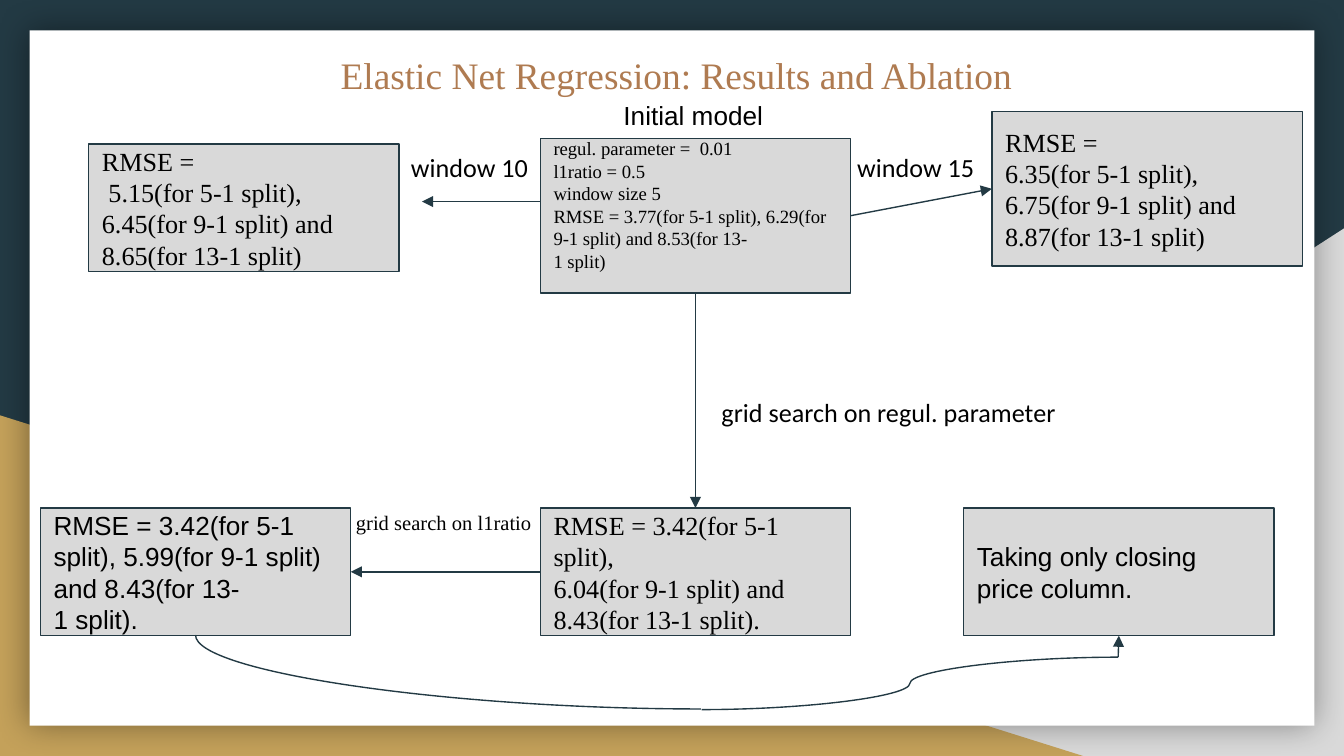
from dataclasses import dataclass

from lxml.etree import SubElement
from pptx import Presentation
from pptx.dml.color import RGBColor as Rgb
from pptx.enum.shapes import MSO_CONNECTOR as Link, MSO_SHAPE as Form
from pptx.enum.text import MSO_ANCHOR as Anchor, PP_ALIGN as Align
from pptx.oxml.ns import qn
from pptx.util import Emu, Inches, Pt

# The grid has square cells: 100 columns by 56.25 rows
COLS, ROWS = 100, 56.25
CELL = Inches(10) / COLS
TOP, LEFT, BOTTOM, RIGHT = range(4)
SERIF, SANS, LABEL = "Times New Roman", "Arial", "Calibri"


@dataclass(frozen=True)
class Theme:
    navy: str = "233A44"
    gold: str = "C4A15A"
    gray: str = "D9D9D9"
    white: str = "FFFFFF"
    black: str = "000000"
    brown: str = "AF7B51"
    title: int = 20
    body: int = 14
    note: int = 11
    small: int = 10
    line: float = 0.75


@dataclass(frozen=True)
class Area:
    col: float
    row: float
    wide: float
    high: float

    def place(self) -> tuple:
        return tuple(cells(n) for n in (self.col, self.row, self.wide, self.high))


@dataclass(frozen=True)
class Box:
    name: str
    col: float
    row: float
    high: float
    lines: tuple
    font: str = SERIF
    size: int = Theme.body
    foot: float = 1  # bottom inset


@dataclass(frozen=True)
class Note:
    text: str
    area: Area
    font: str = LABEL
    size: int = Theme.body
    color: str = Theme.black
    align: Align = Align.LEFT


WIDE = 23.1  # every box
LOW, SHORT, TALL = 37.8, 9.5, 11.5

BOXES = (
    Box("ten", 6.6, 10.7, SHORT,
        ("RMSE =", " 5.15(for 5-1 split),", "6.45(for 9-1 split) and 8.65(for 13-1 split)")),
    Box("fifteen", 73.8, 8.3, TALL,
        ("RMSE =", "6.35(for 5-1 split), 6.75(for 9-1 split) and 8.87(for 13-1 split)")),
    Box("ratio", 3, LOW, SHORT,
        ("RMSE = 3.42(for 5-1 split), 5.99(for 9-1 split) and 8.43(for 13-", "1 split)."), SANS),
    Box("regul", 40.2, LOW, SHORT,
        ("RMSE = 3.42(for 5-1 split),", "6.04(for 9-1 split) and 8.43(for 13-1 split).")),
    Box("close", 71.7, LOW, SHORT, ("Taking only closing price column.",), SANS),
    Box("first", 40.2, 10.3, TALL,
        ("regul. parameter =  0.01", "l1ratio = 0.5", "window size 5",
         "RMSE = 3.77(for 5-1 split), 6.29(for 9-1 split) and 8.53(for 13-", "1 split)"),
        size=Theme.small, foot=2.65),
)

NOTES = (
    Note("Elastic Net Regression: Results and Ablation", Area(9.3, 2.9, 82.1, 10.4),
         SERIF, Theme.title, Theme.brown, Align.CENTER),
    Note("Initial model", Area(45.4, 6.4, 17.8, 4.4), SANS),
    Note("window 10", Area(29.6, 10.3, 19.4, 4.4)),
    Note("window 15", Area(62.8, 10.3, 19.4, 4.4)),
    Note("grid search on regul. parameter", Area(52.7, 28.5, 47, 4.4)),
    Note("grid search on l1ratio", Area(25.5, 37, 52.4, 3.9), SERIF, Theme.note),
)


def cells(n: float) -> Emu:
    return Emu(round(n * CELL))


def paint(shapes, form: Form, area: Area, color: str):
    shape = shapes.add_shape(form, *area.place())
    shape.shadow.inherit = False
    shape.fill.solid()
    shape.fill.fore_color.rgb = Rgb.from_string(color)
    shape.line.fill.background()
    return shape


def glow(shape) -> None:
    """Give the card a soft, even shadow."""
    effects = shape._element.spPr.find(qn("a:effectLst"))
    soft = SubElement(effects, qn("a:outerShdw"), blurRad=str(Pt(18)), dist="0",
                      dir="0", algn="ctr", rotWithShape="0")
    tint = SubElement(soft, qn("a:srgbClr"), val=Theme.black)
    SubElement(tint, qn("a:alpha"), val="40000")


def write(shape, lines: tuple, font: str, size: int, color: str = Theme.black,
          align: Align = Align.LEFT, foot: float = 1) -> None:
    frame = shape.text_frame
    frame.word_wrap = True
    frame.margin_left = frame.margin_right = frame.margin_top = cells(1)
    frame.margin_bottom = cells(foot)
    for i, line in enumerate(lines):
        para = frame.paragraphs[0] if i == 0 else frame.add_paragraph()
        para.text = line
        para.alignment = align
        para.font.name = font
        para.font.size = Pt(size)
        para.font.color.rgb = Rgb.from_string(color)


def draw_box(shapes, box: Box):
    shape = paint(shapes, Form.RECTANGLE, Area(box.col, box.row, WIDE, box.high), Theme.gray)
    shape.line.color.rgb = Rgb.from_string(Theme.navy)
    shape.line.width = Pt(Theme.line)
    write(shape, box.lines, box.font, box.size, foot=box.foot)
    shape.text_frame.vertical_anchor = Anchor.MIDDLE
    return shape


def draw_note(shapes, note: Note) -> None:
    shape = shapes.add_textbox(*note.area.place())
    write(shape, (note.text,), note.font, note.size, note.color, note.align)


def draw_link(shapes, start: tuple, end: tuple, kind: Link = Link.STRAIGHT, head: bool = True):
    link = shapes.add_connector(kind, *(cells(n) for n in start + end))
    link.line.color.rgb = Rgb.from_string(Theme.navy)
    link.line.width = Pt(Theme.line)
    if head:
        SubElement(link.line._get_or_add_ln(), qn("a:tailEnd"), type="triangle")
    SubElement(link._element.spPr, qn("a:effectLst"))
    return link


def join(shapes, start, exit: int, end, entry: int) -> None:
    link = draw_link(shapes, (0, 0), (1, 1))
    link.begin_connect(start, exit)
    link.end_connect(end, entry)


def main() -> None:
    deck = Presentation()
    deck.slide_width, deck.slide_height = cells(COLS), cells(ROWS)
    slide = deck.slides.add_slide(deck.slide_layouts[6])
    shapes = slide.shapes

    # Backdrop and card
    slide.background.fill.solid()
    slide.background.fill.fore_color.rgb = Rgb.from_string(Theme.navy)
    slope = paint(shapes, Form.RIGHT_TRIANGLE, Area(39.2, 17, 60.8, 39.25), Theme.gray)
    slope._element.spPr.xfrm.set("flipH", "1")
    paint(shapes, Form.RIGHT_TRIANGLE, Area(0, 30.9, 80.6, 25.35), Theme.gold)
    glow(paint(shapes, Form.RECTANGLE, Area(2.2, 2.25, 95.6, 51.75), Theme.white))

    # Boxes and labels
    made = {box.name: draw_box(shapes, box) for box in BOXES}
    for note in NOTES:
        draw_note(shapes, note)

    # Straight arrows
    draw_link(shapes, (40.2, 15), (31.4, 15))
    join(shapes, made["first"], RIGHT, made["fifteen"], LEFT)
    join(shapes, made["first"], BOTTOM, made["regul"], TOP)
    join(shapes, made["regul"], LEFT, made["ratio"], RIGHT)

    # Curved path to the closing price box: a quarter bend, an S bend and a tip
    bend = draw_link(shapes, (36.1, 31.2), (30.6, 68.8), Link.CURVE, head=False)
    bend._element.spPr.xfrm.set("rot", str(270 * 60000))
    bend._element.spPr.find(qn("a:prstGeom")).set("prst", "curvedConnector2")
    draw_link(shapes, (52.2, 52.8), (83.2, 48.9), Link.CURVE, head=False)
    tip = draw_link(shapes, (83.2, 48.9), (83.25, 47.3))
    tip.end_connect(made["close"], BOTTOM)

    deck.save("out.pptx")


if __name__ == "__main__":
    main()
